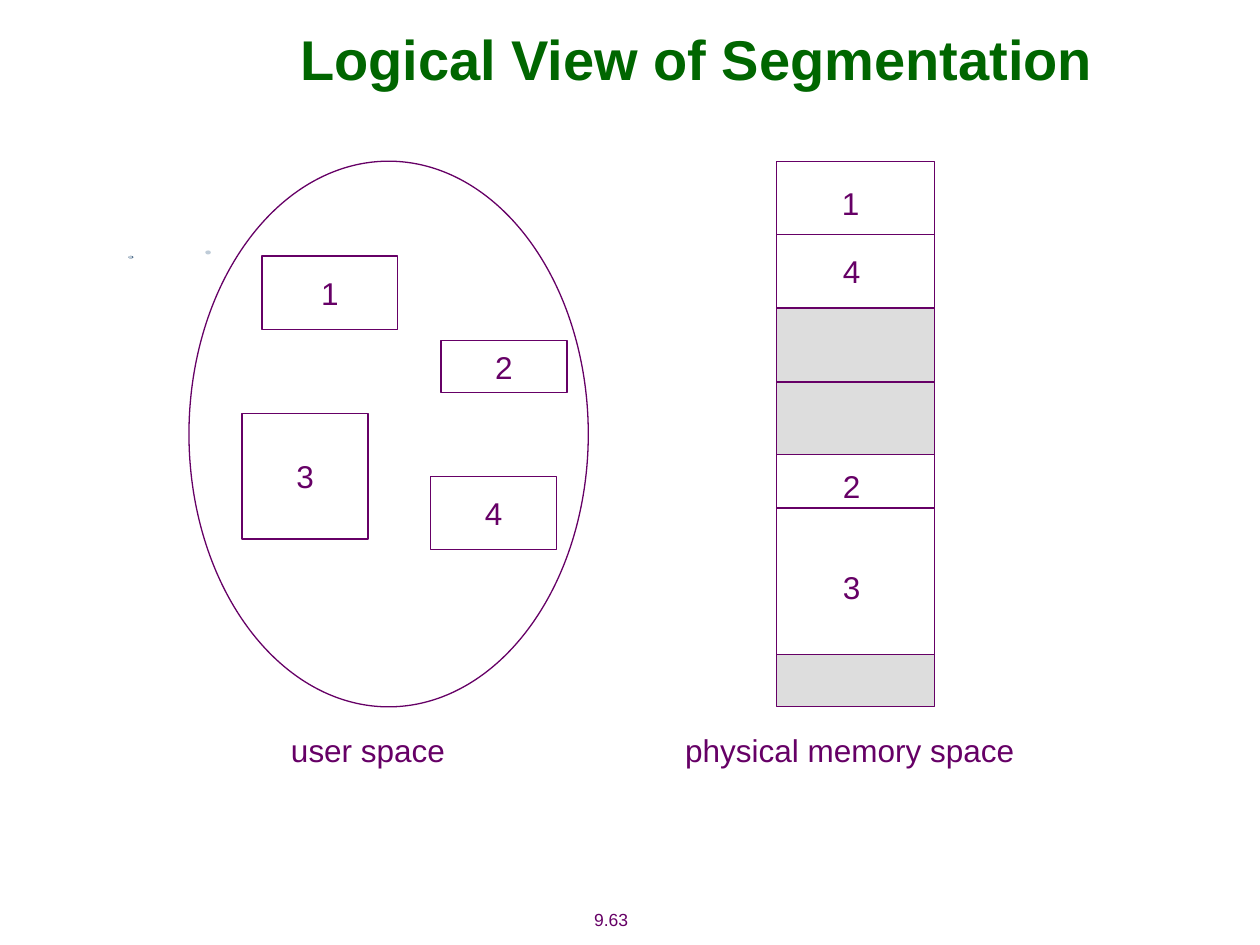
from lxml import etree
from pptx import Presentation
from pptx.dml.color import RGBColor
from pptx.enum.shapes import MSO_CONNECTOR, MSO_SHAPE
from pptx.enum.text import MSO_ANCHOR, PP_ALIGN
from pptx.oxml.ns import qn
from pptx.util import Cm, Pt

RECT, OVAL = MSO_SHAPE.RECTANGLE, MSO_SHAPE.OVAL
STRAIGHT = MSO_CONNECTOR.STRAIGHT
CENTER, MIDDLE = PP_ALIGN.CENTER, MSO_ANCHOR.MIDDLE
PURPLE, GREEN, WHITE, GRAY = "660066", "006600", "FFFFFF", "DDDDDD"
rgb = RGBColor.from_string


def add_box(parent, kind, x, y, w, h, fill, line=PURPLE):
    sp = parent.add_shape(kind, Cm(x), Cm(y), Cm(w), Cm(h))
    sp.shadow.inherit = False
    sp.fill.solid()
    sp.fill.fore_color.rgb = rgb(fill)
    if line:
        sp.line.color.rgb = rgb(line)
        sp.line.width = Pt(0.75)
    else:
        sp.line.fill.background()
    return sp


def write(sp, text, size=18, color=PURPLE, bold=False, wrap=False):
    tf = sp.text_frame
    tf.word_wrap = wrap
    tf.vertical_anchor = MIDDLE
    p = tf.paragraphs[0]
    p.alignment = CENTER
    r = p.add_run()
    r.text = text
    r.font.name = "Arial"
    r.font.size = Pt(size)
    r.font.bold = bold
    r.font.color.rgb = rgb(color)


prs = Presentation()
prs.slide_width, prs.slide_height = Cm(25.4), Cm(19.05)
s = prs.slides.add_slide(prs.slide_layouts[5])

# Title
title = s.shapes.title
title.left, title.top, title.width, title.height = Cm(3.25), Cm(0), Cm(21.59), Cm(2.34)
write(title, "Logical View of Segmentation", 32, GREEN, bold=True, wrap=True)

# Small specks of the background decoration
for x, y, w, h, fill in [
    (2.59, 5.16, 0.1, 0.05, "284C70"),
    (2.59, 5.16, 0.08, 0.05, "BFCCD8"),
    (4.14, 5.05, 0.11, 0.08, "BFCCD8"),
]:
    add_box(s.shapes, OVAL, x, y, w, h, fill, line=None)

# User space with its segments
add_box(s.shapes, OVAL, 3.81, 3.25, 8.05, 11, WHITE)
for number, x, y, w, h in [
    ("1", 5.28, 5.16, 2.74, 1.48),
    ("3", 4.88, 8.33, 2.54, 2.54),
    ("2", 8.89, 6.86, 2.54, 1.06),
    ("4", 8.68, 9.6, 2.54, 1.48),
]:
    write(add_box(s.shapes, RECT, x, y, w, h, WHITE), number)

# Physical memory: stacked bands, split by lines
memory = s.shapes.add_group_shape().shapes
left, width, top = 15.66, 3.18, 3.25
for height, fill in [(2.96, WHITE), (2.96, GRAY), (4.02, WHITE), (1.06, GRAY)]:
    add_box(memory, RECT, left, top, width, height, fill)
    top += height

for y in (4.73, 7.7, 10.24):
    line = memory.add_connector(STRAIGHT, Cm(left), Cm(y), Cm(left + width), Cm(y))
    line.line.color.rgb = rgb(PURPLE)
    line.line.width = Pt(0.75)
    etree.SubElement(line._element.spPr, qn("a:effectLst"))

# Labels, placed by their centres
for parent, text, cx, cy, w, h, size in [
    (memory, "1", 17.15, 4.09, 0.86, 1.02, 18),
    (memory, "4", 17.17, 5.46, 0.86, 1.02, 18),
    (memory, "2", 17.17, 9.8, 0.86, 1.02, 18),
    (memory, "3", 17.17, 11.84, 0.86, 1.02, 18),
    (s.shapes, "user space", 7.42, 15.11, 3.78, 1.02, 18),
    (s.shapes, "physical memory space", 17.13, 15.11, 7.14, 1.02, 18),
    (s.shapes, "9.63", 12.32, 18.53, 2.39, 0.69, 10),
]:
    label = parent.add_textbox(Cm(cx - w / 2), Cm(cy - h / 2), Cm(w), Cm(h))
    write(label, text, size)

prs.save("out.pptx")
